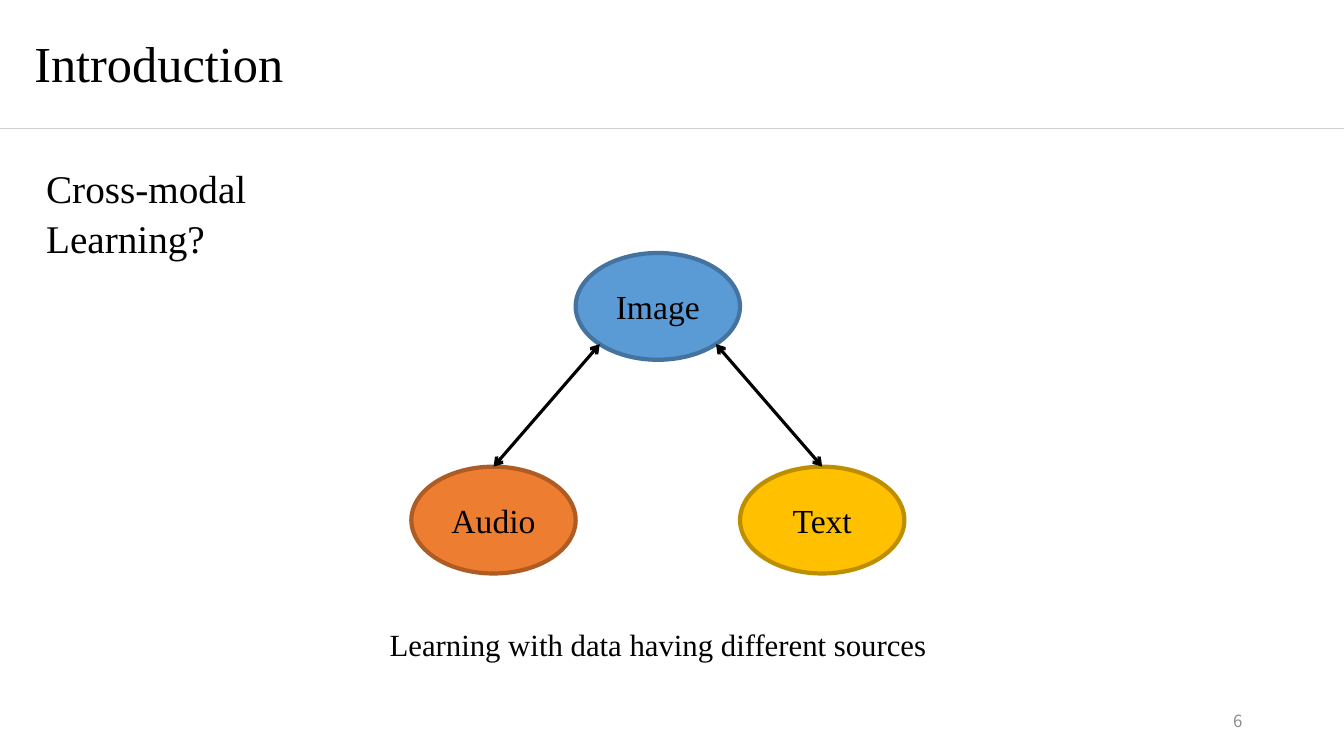
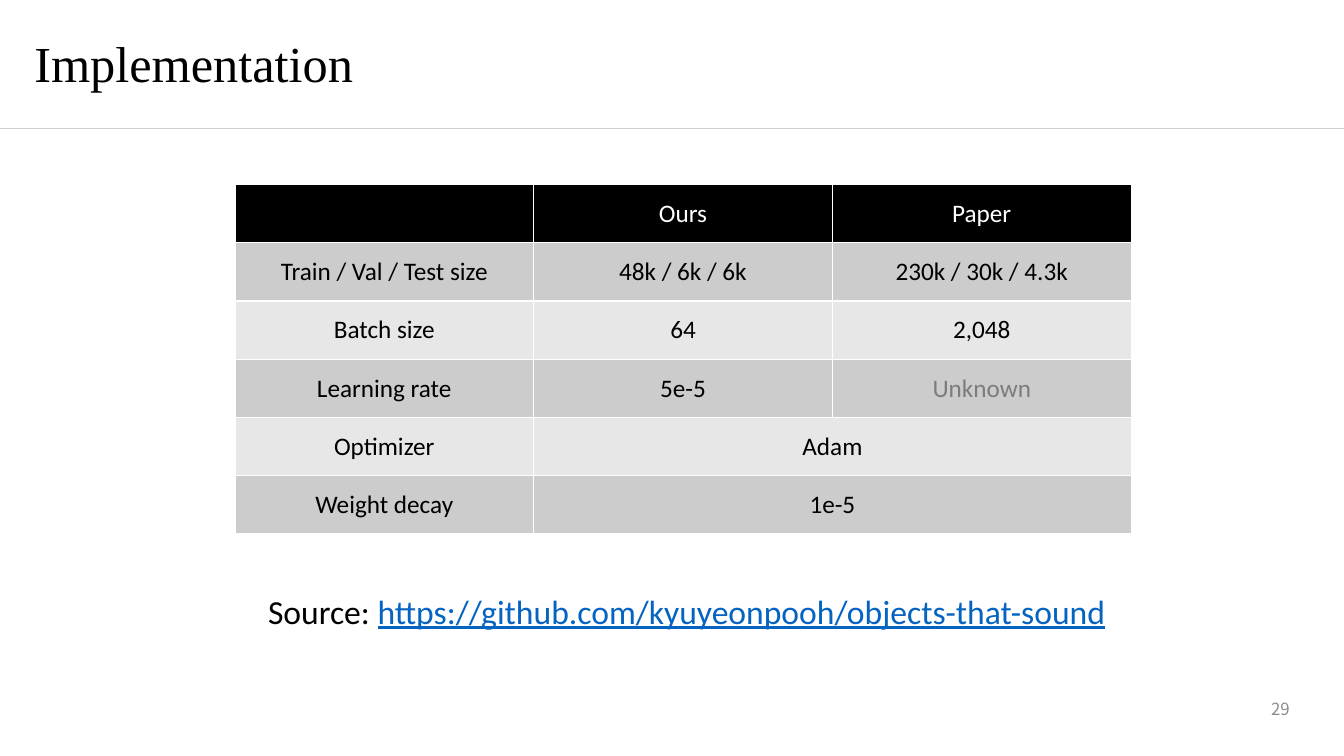
from math import cos, pi, sin

from lxml.etree import SubElement
from pptx import Presentation
from pptx.dml.color import RGBColor
from pptx.enum.shapes import MSO_CONNECTOR, MSO_SHAPE
from pptx.enum.text import MSO_ANCHOR, MSO_AUTO_SIZE, PP_ALIGN
from pptx.oxml.ns import qn
from pptx.util import Inches, Pt

SERIF, SANS, NUMBER_FONT = "Times New Roman", "Calibri", "Noto Sans CJK KR"
COLORS = {
    "black": "000000", "white": "FFFFFF", "rule": "D0CECE", "number": "8C8C8C",
    "blue": "5B9BD5", "blue_edge": "43739E",
    "orange": "ED7D31", "orange_edge": "AF5C24",
    "gold": "FFC000", "gold_edge": "BD8E00",
    "band_dark": "CCCCCC", "band_light": "E7E7E7",
    "unknown": "7C7C7C", "link": "0563C1",
}


def rgb(name):
    return RGBColor.from_string(COLORS[name])


class Deck:
    """Holds the shared style and the slide being built."""

    def __init__(self):
        self.prs = Presentation()
        self.prs.slide_width = Inches(13.33)
        self.prs.slide_height = Inches(7.5)
        self.s = None

    def format(self, p, size, font=SERIF, color="black", align=PP_ALIGN.LEFT):
        p.alignment = align
        for r in p.runs:
            r.font.size = Pt(size)
            r.font.name = font
            r.font.color.rgb = rgb(color)

    def slide(self, title, number, number_left, number_top):
        self.s = self.prs.slides.add_slide(self.prs.slide_layouts[5])
        sp = self.s.shapes.title
        sp.left, sp.top = Inches(0.24), Inches(0.34)
        sp.width, sp.height = Inches(11.5), Inches(0.93)
        tf = sp.text_frame
        tf.text = title
        tf.auto_size = MSO_AUTO_SIZE.NONE
        tf.vertical_anchor = MSO_ANCHOR.TOP
        tf.paragraphs[0].line_spacing = 0.9
        self.format(tf.paragraphs[0], 36)
        self.line(0, 1.27, 13.33, 1.27, "rule", 0.5)
        tf = self.text(number, number_left, number_top, 3, 0.4, 12,
                       NUMBER_FONT, "number", PP_ALIGN.RIGHT)
        tf.vertical_anchor = MSO_ANCHOR.MIDDLE

    def text(self, text, x, y, w, h, size, font=SERIF, color="black",
             align=PP_ALIGN.LEFT, wrap=True):
        sp = self.s.shapes.add_textbox(Inches(x), Inches(y), Inches(w), Inches(h))
        tf = sp.text_frame
        tf.word_wrap = wrap
        tf.text = text
        self.format(tf.paragraphs[0], size, font, color, align)
        return tf

    def line(self, x1, y1, x2, y2, color, width):
        cxn = self.s.shapes.add_connector(
            MSO_CONNECTOR.STRAIGHT, Inches(x1), Inches(y1), Inches(x2), Inches(y2))
        cxn.line.color.rgb = rgb(color)
        cxn.line.width = Pt(width)
        SubElement(cxn._element.spPr, qn("a:effectLst"))
        return cxn

    def double_arrow(self, sp, x1, y1, x2, y2):
        cxn = self.line(x1, y1, x2, y2, "black", 2.25)
        cxn.begin_connect(sp, 0)
        ln = cxn.line._get_or_add_ln()
        for end in ("a:headEnd", "a:tailEnd"):
            SubElement(ln, qn(end), type="arrow")

    def ellipse(self, text, x, y, w, h, color):
        sp = self.s.shapes.add_shape(
            MSO_SHAPE.OVAL, Inches(x), Inches(y), Inches(w), Inches(h))
        sp.shadow.inherit = False
        sp.fill.solid()
        sp.fill.fore_color.rgb = rgb(color)
        sp.line.color.rgb = rgb(color + "_edge")
        sp.line.width = Pt(3)
        tf = sp.text_frame
        tf.text = text
        tf.vertical_anchor = MSO_ANCHOR.MIDDLE
        self.format(tf.paragraphs[0], 24, align=PP_ALIGN.CENTER)
        return sp

    def cell(self, cell, text, fill, color):
        tcPr = cell._tc.get_or_add_tcPr()
        for side in ("a:lnL", "a:lnR", "a:lnT", "a:lnB"):
            ln = SubElement(tcPr, qn(side), w=str(Pt(1)))
            SubElement(SubElement(ln, qn("a:solidFill")), qn("a:srgbClr"),
                       val=COLORS["white"])
        cell.fill.solid()
        cell.fill.fore_color.rgb = rgb(fill)
        cell.vertical_anchor = MSO_ANCHOR.MIDDLE
        if text:
            cell.text_frame.text = text
            self.format(cell.text_frame.paragraphs[0], 18, SANS, color,
                        PP_ALIGN.CENTER)

    def table(self, rows, x, y, w, h):
        cols = len(rows[0])
        tbl = self.s.shapes.add_table(
            len(rows), cols, Inches(x), Inches(y), Inches(w), Inches(h)).table
        tbl.horz_banding = False
        for i, row in enumerate(rows):
            fill = "black" if i == 0 else "band_dark" if i % 2 else "band_light"
            for j in range(cols):
                text = row[j] if j < len(row) else ""
                color = ("white" if i == 0
                         else "unknown" if text == "Unknown" else "black")
                self.cell(tbl.cell(i, j), text, fill, color)
            if len(row) < cols:
                tbl.cell(i, len(row) - 1).merge(tbl.cell(i, cols - 1))


def introduction(deck):
    deck.slide("Introduction", "6", 9.42, 6.95)
    tf = deck.text("Cross-modal Learning?", 0.36, 1.56, 3.37, 0.99, 28)
    tf.paragraphs[0].line_spacing = 1.05

    w, h, image_x, image_y, source_y = 1.63, 1.06, 5.71, 2.51, 4.63
    deck.ellipse("Image", image_x, image_y, w, h, "blue")
    end_y = image_y + h / 2 * (1 + sin(pi / 4))
    for text, color, side in (("Audio", "orange", -1), ("Text", "gold", 1)):
        x = image_x + side * w
        sp = deck.ellipse(text, x, source_y, w, h, color)
        end_x = image_x + w / 2 * (1 + side * cos(pi / 4))
        deck.double_arrow(sp, x + w / 2, source_y, end_x, end_y)

    deck.text("Learning with data having different sources", 3.73, 6.16, 5.59, 0.47,
              22, align=PP_ALIGN.CENTER, wrap=False)


def implementation(deck):
    deck.slide("Implementation", "29", 9.89, 6.83)
    deck.table([
        ("", "Ours", "Paper"),
        ("Train / Val / Test size", "48k / 6k / 6k", "230k / 30k / 4.3k"),
        ("Batch size", "64", "2,048"),
        ("Learning rate", "5e-5", "Unknown"),
        ("Optimizer", "Adam"),
        ("Weight decay", "1e-5"),
    ], 2.33, 1.83, 8.89, 3.47)

    tf = deck.text("Source: ", 2.56, 5.81, 8.71, 0.5, 24, SANS)
    p = tf.paragraphs[0]
    r = p.add_run()
    r.text = "https://github.com/kyuyeonpooh/objects-that-sound"
    r.font.size = Pt(24)
    r.font.name = SANS
    r.font.color.rgb = rgb("link")
    r.font.underline = True


def main():
    deck = Deck()
    introduction(deck)
    implementation(deck)
    deck.prs.save("out.pptx")


if __name__ == "__main__":
    main()
